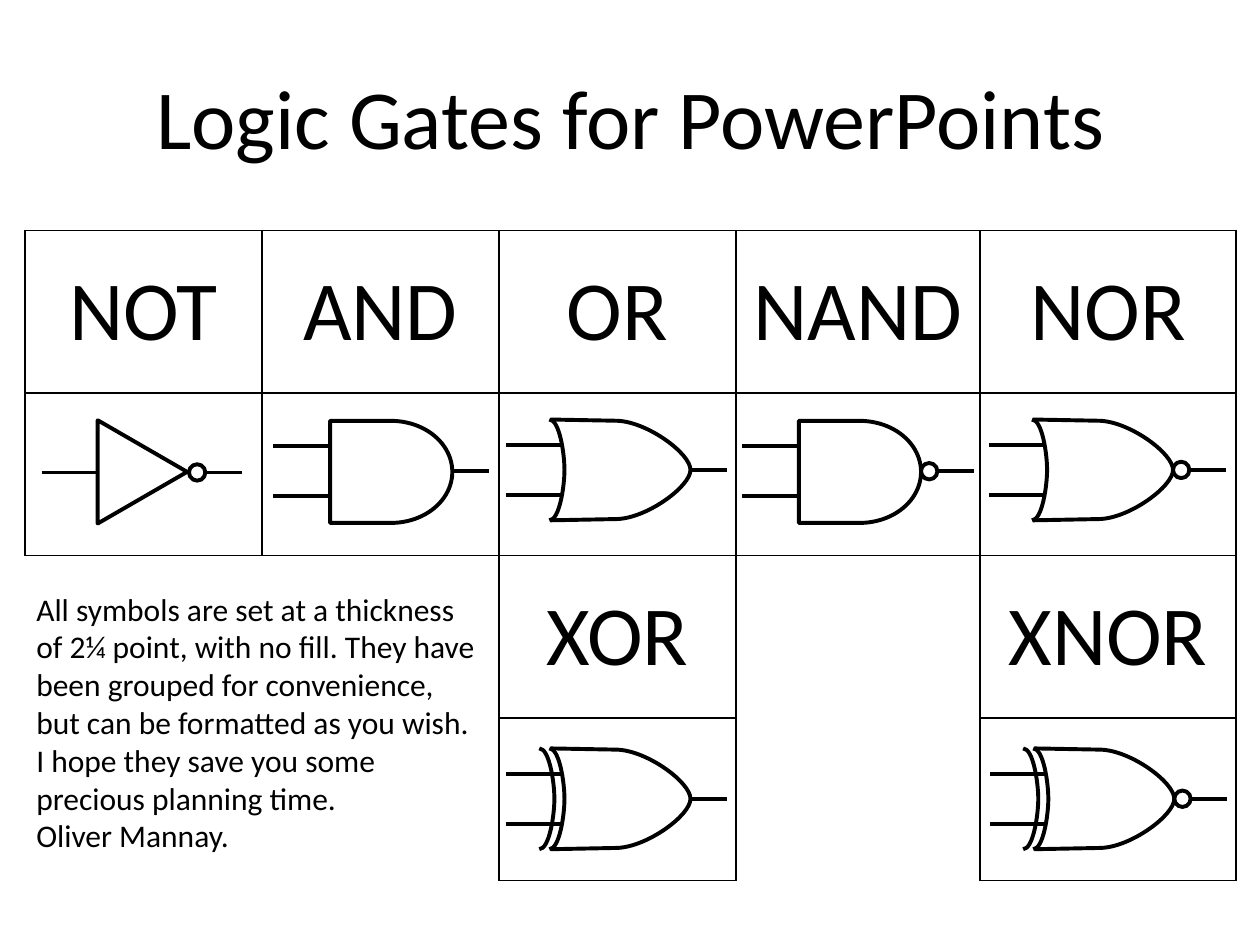
from lxml import etree
from pptx import Presentation
from pptx.dml.color import RGBColor
from pptx.enum.shapes import MSO_CONNECTOR, MSO_SHAPE
from pptx.enum.text import MSO_ANCHOR, PP_ALIGN
from pptx.oxml.ns import qn
from pptx.util import Inches, Pt

CENTER, LEFT = PP_ALIGN.CENTER, PP_ALIGN.LEFT
MIDDLE = MSO_ANCHOR.MIDDLE
STRAIGHT = MSO_CONNECTOR.STRAIGHT
TRIANGLE, DELAY, OVAL = (MSO_SHAPE.ISOSCELES_TRIANGLE,
                         MSO_SHAPE.FLOWCHART_DELAY, MSO_SHAPE.OVAL)
INK = "000000"
FONT = "Calibri"
LEAD, TAIL, BUBBLE = 0.45, 0.29, 0.13  # input wire, output wire, inversion circle


def color(hex_code):
    return RGBColor.from_string(hex_code)


def style_text(paragraph, size, align):
    paragraph.alignment = align
    paragraph.font.size = Pt(size)
    paragraph.font.name = FONT
    paragraph.font.color.rgb = color(INK)


def add_text(slide, box, lines, size, align, wrap):
    frame = slide.shapes.add_textbox(*map(Inches, box)).text_frame
    frame.word_wrap = wrap
    frame.text = "\n".join(lines)
    for paragraph in frame.paragraphs:
        style_text(paragraph, size, align)


# Table of gate names
def set_border(cell, side, visible):
    line = etree.SubElement(cell._tc.get_or_add_tcPr(), qn(f"a:ln{side}"),
                            w=str(Pt(1)))
    if visible:
        fill = etree.SubElement(line, qn("a:solidFill"))
        etree.SubElement(fill, qn("a:srgbClr"), val=INK)
    else:
        etree.SubElement(line, qn("a:noFill"))


def add_gate_table(slide, left, top, widths, row_height, names):
    rows, cols = 4, len(widths)
    table = slide.shapes.add_table(
        rows, cols, Inches(left), Inches(top),
        Inches(sum(widths)), Inches(rows * row_height)).table
    table.first_row = table.horz_banding = False
    for column, width in zip(table.columns, widths):
        column.width = Inches(width)
    for row in table.rows:
        row.height = Inches(row_height)

    # A name and the symbol cell below it are framed
    framed = {(r + step, c) for r, c in names for step in (0, 1)}
    sides = {"L": (0, -1), "R": (0, 1), "T": (-1, 0), "B": (1, 0)}
    for r in range(rows):
        for c in range(cols):
            cell = table.cell(r, c)
            for side, (dr, dc) in sides.items():
                set_border(cell, side, bool({(r, c), (r + dr, c + dc)} & framed))
            cell.fill.background()
            cell.vertical_anchor = MIDDLE
            if (r, c) in names:
                cell.text = names[r, c]
                style_text(cell.text_frame.paragraphs[0], 48, CENTER)


# Parts of a gate symbol
def outline(shape):
    shape.shadow.inherit = False
    shape.fill.background()
    shape.line.color.rgb = color(INK)
    shape.line.width = Pt(2.25)


def add_wire(group, x, y, length):
    wire = group.shapes.add_connector(
        STRAIGHT, Inches(x), Inches(y), Inches(x + length), Inches(y))
    wire.line.color.rgb = color(INK)
    wire.line.width = Pt(2.25)
    etree.SubElement(wire._element.spPr, qn("a:effectLst"))


def add_part(group, kind, x, y, width, height, rotation=0):
    part = group.shapes.add_shape(kind, *map(Inches, (x, y, width, height)))
    part.rotation = rotation
    outline(part)


def add_curve(group, x, y, half, segments):
    """Mirror the upper half below the axis; segments lists L (line) and C (curve)."""
    points = half + [(px, -py) for px, py in reversed(half[:-1])]
    emu = [(Inches(x + px), Inches(y + py)) for px, py in points]
    builder = group.shapes.build_freeform(*emu[0])
    builder.add_line_segments(emu[1:], close=False)
    curve = builder.convert_to_shape()
    outline(curve)

    # Each curve takes two control points and an end point
    steps = iter(list(curve._element.spPr.iter(qn("a:lnTo"))))
    for segment in segments:
        step = next(steps)
        if segment == "C":
            step.tag_owner = None
            bezier = etree.Element(qn("a:cubicBezTo"))
            step.addprevious(bezier)
            for vertex in (step, next(steps), next(steps)):
                bezier.append(vertex[0])
                vertex.getparent().remove(vertex)


def add_not_body(group, x, y):
    add_part(group, TRIANGLE, x + 0.39, y - 0.41 + 0.05, 0.82, 0.71, 90)
    return 1.17


def add_and_body(group, x, y):
    add_part(group, DELAY, x + LEAD, y - 0.4, 0.97, 0.81)
    return 1.42


def add_or_body(group, x, y):
    add_curve(group, x, y, [(0.35, -0.4), (0.88, -0.39), (1.12, -0.38),
                            (1.46, -0.13), (1.46, 0)], "LCCL")
    add_back_arc(group, x + 0.34, y)
    return 1.46


def add_xor_body(group, x, y):
    nose = add_or_body(group, x, y)
    add_back_arc(group, x + 0.26, y)
    return nose


def add_back_arc(group, x, y):
    add_curve(group, x, y,
              [(0, -0.4), (0.08, -0.4), (0.12, -0.13), (0.12, 0)], "CC")


def add_gate(slide, x, y, add_body, inverted):
    group = slide.shapes.add_group_shape()
    for offset in (0,) if add_body is add_not_body else (0.2, -0.2):
        add_wire(group, x, y + offset, LEAD)
    nose = x + add_body(group, x, y)
    if inverted:
        add_part(group, OVAL, nose, y - BUBBLE / 2, BUBBLE, BUBBLE)
        nose += BUBBLE
    add_wire(group, nose, y, TAIL)


def build_slide(slide):
    add_gate_table(slide, 0.2, 1.83, [1.88, 1.88, 1.88, 1.94, 2.03], 1.29, {
        (0, 0): "NOT", (0, 1): "AND", (0, 2): "OR", (0, 3): "NAND",
        (0, 4): "NOR", (2, 2): "XOR", (2, 4): "XNOR"})
    add_text(slide, (0.19, 4.63, 3.7, 2.22), [
        "All symbols are set at a thickness of 2¼ point, with no fill. They have "
        "been grouped for convenience, but can be formatted as you wish.",
        "I hope they save you some precious planning time.",
        "Oliver Mannay."], 18, LEFT, True)
    add_text(slide, (1.1, 0.47, 7.81, 0.91),
             ["Logic Gates for PowerPoints"], 48, CENTER, False)
    for x, y, body, inverted in [
            (5.89, 3.74, add_and_body, True),
            (2.17, 3.74, add_and_body, False),
            (0.33, 3.75, add_not_body, True),
            (4.02, 3.73, add_or_body, False),
            (4.02, 6.34, add_xor_body, False),
            (7.86, 6.34, add_xor_body, True),
            (7.85, 3.73, add_or_body, True)]:
        add_gate(slide, x, y, body, inverted)


deck = Presentation()
deck.slide_width, deck.slide_height = Inches(10), Inches(7.5)
build_slide(deck.slides.add_slide(deck.slide_layouts[6]))
deck.save("out.pptx")
